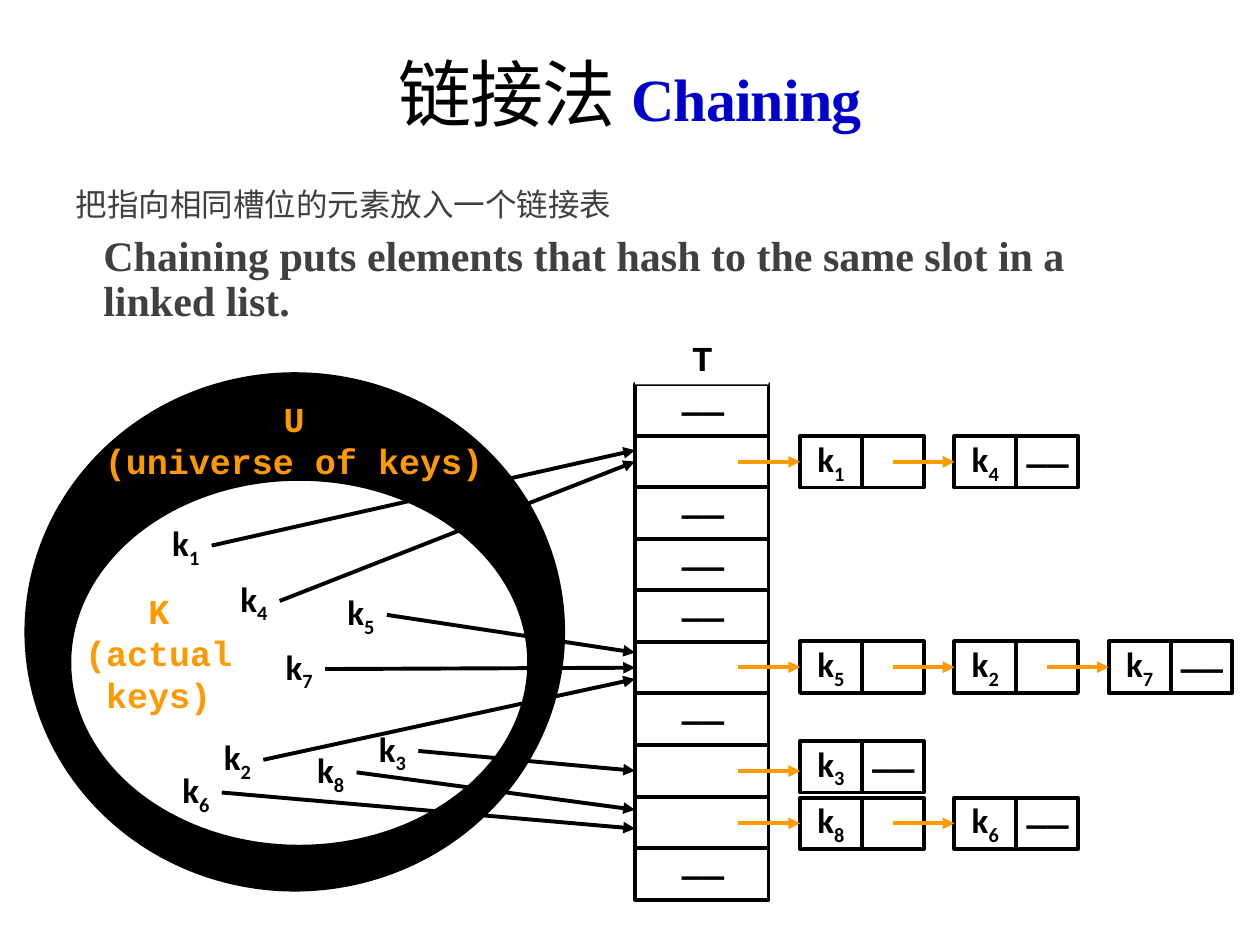
from lxml.etree import SubElement
from pptx import Presentation
from pptx.dml.color import RGBColor
from pptx.enum.shapes import MSO_CONNECTOR, MSO_SHAPE
from pptx.enum.text import MSO_ANCHOR, MSO_AUTO_SIZE, PP_ALIGN
from pptx.oxml.ns import qn
from pptx.util import Inches, Pt

COLORS = {"ink": "000000", "paper": "FFFFFF", "accent": "FF9900", "title": "0000CC", "body": "404040"}
DASH = "——"
KEYS = {
    "1": (1.15, 1.19, 1, -0.09),
    "4": (1.69, 1.63, 1, 0),
    "5": (2.54, 1.74, 5, -0.12),
    "7": (2.05, 2.17, 5, 0),
    "2": (1.56, 2.89, 5, 0.09),
    "3": (2.79, 2.82, 7, 0),
    "8": (2.30, 2.99, 8, -0.1),
    "6": (1.23, 3.15, 8, 0.05),
}
CHAINS = [(0, 0.2, "14"), (1.63, 1.84, "527"), (2.42, 2.66, "3"), (2.87, 3.07, "86")]
EMPTY_SLOTS = (0, 2, 3, 4, 6, 9)


def color(name):
    """Return a named colour."""
    return RGBColor.from_string(COLORS[name])


def style(run, font, size, tone, bold=True):
    """Format one run of text."""
    run.font.name, run.font.size, run.font.bold = font, Pt(size), bold
    run.font.color.rgb = color(tone)


def clear_insets(frame):
    """Remove the margins of a text frame."""
    frame.margin_left = frame.margin_right = frame.margin_top = frame.margin_bottom = 0


def block(slide, kind, left, top, width, height, fill="paper", outlined=True):
    """Add a filled shape with an optional black outline."""
    shape = slide.shapes.add_shape(kind, Inches(left), Inches(top), Inches(width), Inches(height))
    shape.shadow.inherit = False
    shape.fill.solid()
    shape.fill.fore_color.rgb = color(fill)
    if outlined:
        shape.line.color.rgb = color("ink")
        shape.line.width = Pt(2.25)
    else:
        shape.line.fill.background()
    return shape


def label(slide, text, left, top, width, height=0.34, tone="ink", font="Courier New"):
    """Add a centred, unwrapped label."""
    frame = slide.shapes.add_textbox(Inches(left), Inches(top), Inches(width), Inches(height)).text_frame
    clear_insets(frame)
    frame.word_wrap = False
    frame.auto_size = MSO_AUTO_SIZE.SHAPE_TO_FIT_TEXT
    frame.vertical_anchor = MSO_ANCHOR.MIDDLE
    paragraph = frame.paragraphs[0]
    paragraph.text = text
    paragraph.alignment = PP_ALIGN.CENTER
    for run in paragraph.runs:
        style(run, font, 20, tone)
    return paragraph


def key_label(slide, number, left, top):
    """Add a key name with a subscript number."""
    paragraph = label(slide, "k", left, top, 0.23, font="Calibri")
    subscript = paragraph.add_run()
    subscript.text = number
    style(subscript, "Calibri", 20, "ink")
    subscript.font._element.set("baseline", "-25000")


def arrow(slide, start, end, tone="ink", target=None):
    """Draw an arrow and join it to the left side of a target if given."""
    line = slide.shapes.add_connector(MSO_CONNECTOR.STRAIGHT, *map(Inches, start + end))
    line.line.color.rgb = color(tone)
    line.line.width = Pt(2.25)
    SubElement(line.line._get_or_add_ln(), qn("a:tailEnd"), type="triangle")
    SubElement(line._element.spPr, qn("a:effectLst"))
    if target is not None:
        line.end_connect(target, 1)


def add_title(slide, left, top, width, height):
    """Place and format the bilingual title."""
    title = slide.shapes.title
    title.left, title.top, title.width, title.height = map(Inches, (left, top, width, height))
    frame = title.text_frame
    clear_insets(frame)
    frame.vertical_anchor = MSO_ANCHOR.MIDDLE
    paragraph = frame.paragraphs[0]
    paragraph.alignment = PP_ALIGN.CENTER
    paragraph.line_spacing = 0.85
    for text, size, tone, bold in (("链接法 ", 41.8, "ink", False), ("Chaining", 34.2, "title", True)):
        run = paragraph.add_run()
        run.text = text
        style(run, "Times New Roman", size, tone, bold)
        run.font._element.set("spc", "-50")


def add_explanation(slide, left, top, width, height):
    """Write the explanation in both languages."""
    frame = slide.shapes.add_textbox(Inches(left), Inches(top), Inches(width), Inches(height)).text_frame
    frame.word_wrap = True
    clear_insets(frame)
    frame.text = "把指向相同槽位的元素放入一个链接表\nChaining puts elements that hash to the same slot in a linked list."
    formats = ((0.1, 0, 18, False), (0.32, 5, 24, True))
    for paragraph, (indent, before, size, bold) in zip(frame.paragraphs, formats):
        paragraph._p.get_or_add_pPr().set("marL", str(Inches(indent)))
        paragraph.line_spacing = 0.9
        paragraph.space_before, paragraph.space_after = Pt(before), Pt(2)
        style(paragraph.runs[0], "Times New Roman", size, "body", bold)


def add_hash_table(slide, left, top, width, height):
    """Stack the ten slots under the heading T and return them."""
    row = height / 10
    slots = {}
    for index in reversed(range(10)):
        slot_top = top + index * row
        slots[index] = block(slide, MSO_SHAPE.RECTANGLE, left, slot_top, width, row)
        if index in EMPTY_SLOTS:
            label(slide, DASH, left + 0.37, slot_top + 0.03, 0.34)
    block(slide, MSO_SHAPE.RECTANGLE, left, top - row, width, row, outlined=False)
    label(slide, "T", left + 0.45, top - row + 0.03, 0.17)
    return slots


def add_key_sets(slide, slots, left, top, width, height):
    """Draw the universe, the actual keys and the arrows to their slots."""
    block(slide, MSO_SHAPE.OVAL, left, top, width, height, fill="ink")
    block(slide, MSO_SHAPE.OVAL, left + 0.34, top + 0.83, 3.65, 2.92)
    label(slide, "U\v(universe of keys)", left + 0.61, top + 0.18, 3.03, 0.67, "accent")
    label(slide, "K\v(actual\vkeys)", left + 0.46, top + 1.7, 1.18, 1.01, "accent")
    for number, (x, y, slot_index, shift) in KEYS.items():
        key_label(slide, number, left + x, top + y)
        slot = slots[slot_index]
        end = (slot.left.inches, (slot.top + slot.height / 2) / Inches(1) + shift)
        start = (left + x + 0.32, top + y + 0.17)
        arrow(slide, start, end, target=None if shift else slot)


def add_chains(slide, left, top, cell, height):
    """Draw the linked lists and the pointers between their nodes."""
    for chain_top, link, numbers in CHAINS:
        y = top + chain_top
        for index, number in enumerate(numbers):
            x = left + index * 2.5 * cell
            node = block(slide, MSO_SHAPE.RECTANGLE, x, y, cell, height)
            key_label(slide, number, x + 0.13, y + 0.03)
            block(slide, MSO_SHAPE.RECTANGLE, x + cell, y, cell, height)
            if index == len(numbers) - 1:
                label(slide, DASH, x + cell + 0.08, y + 0.03, 0.34)
            centered = abs(chain_top + height / 2 - link) < 0.02
            link_y = y + height / 2 if centered else top + link
            arrow(slide, (x - cell, link_y), (x, link_y), "accent", node if centered else None)


def main():
    """Build the chaining slide."""
    deck = Presentation()
    deck.slide_width, deck.slide_height = Inches(10), Inches(7.5)
    slide = deck.slides.add_slide(deck.slide_layouts[5])
    add_title(slide, 0.75, 0.33, 8.5, 0.92)
    add_explanation(slide, 0.5, 1.5, 8.92, 1.1)
    slots = add_hash_table(slide, 5.04, 3.05, 1.06, 4.09)
    add_key_sets(slide, slots, 0.21, 2.97, 4.26, 4.09)
    add_chains(slide, 6.35, 3.46, 0.49, 0.41)
    deck.save("out.pptx")


if __name__ == "__main__":
    main()
